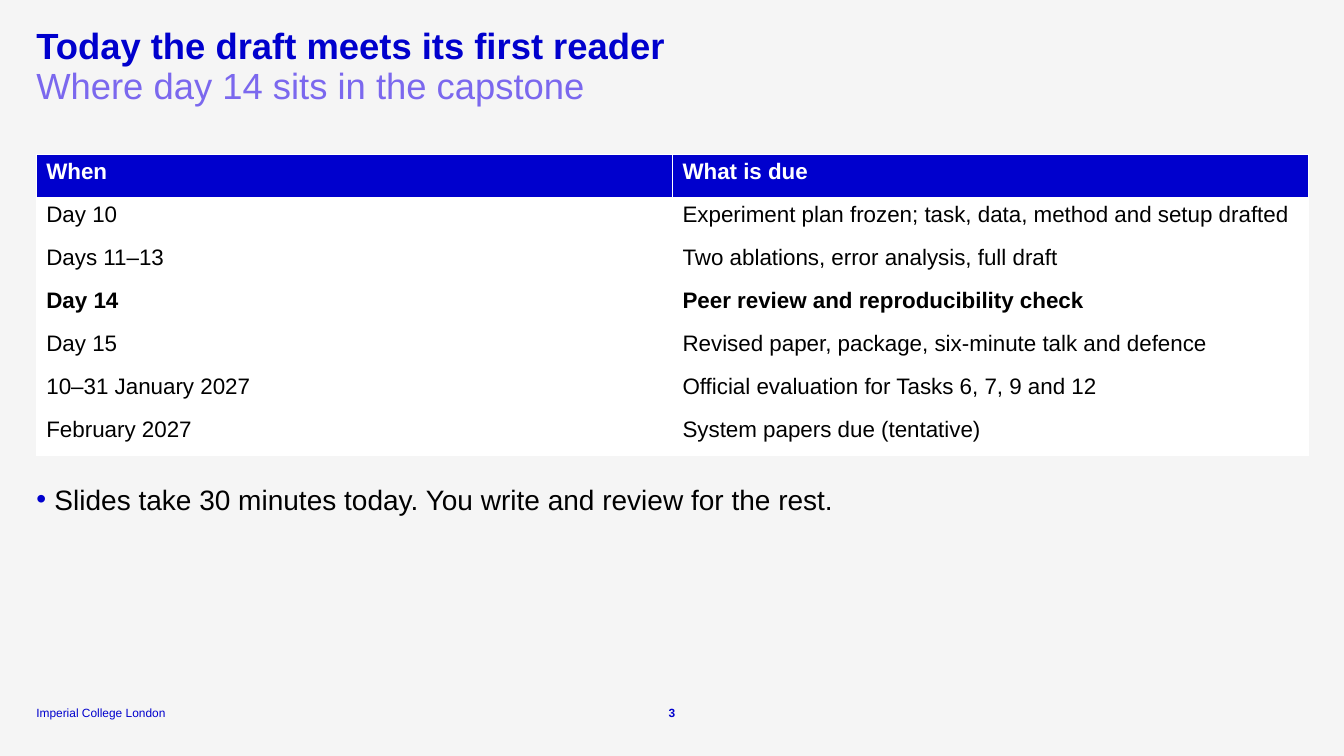
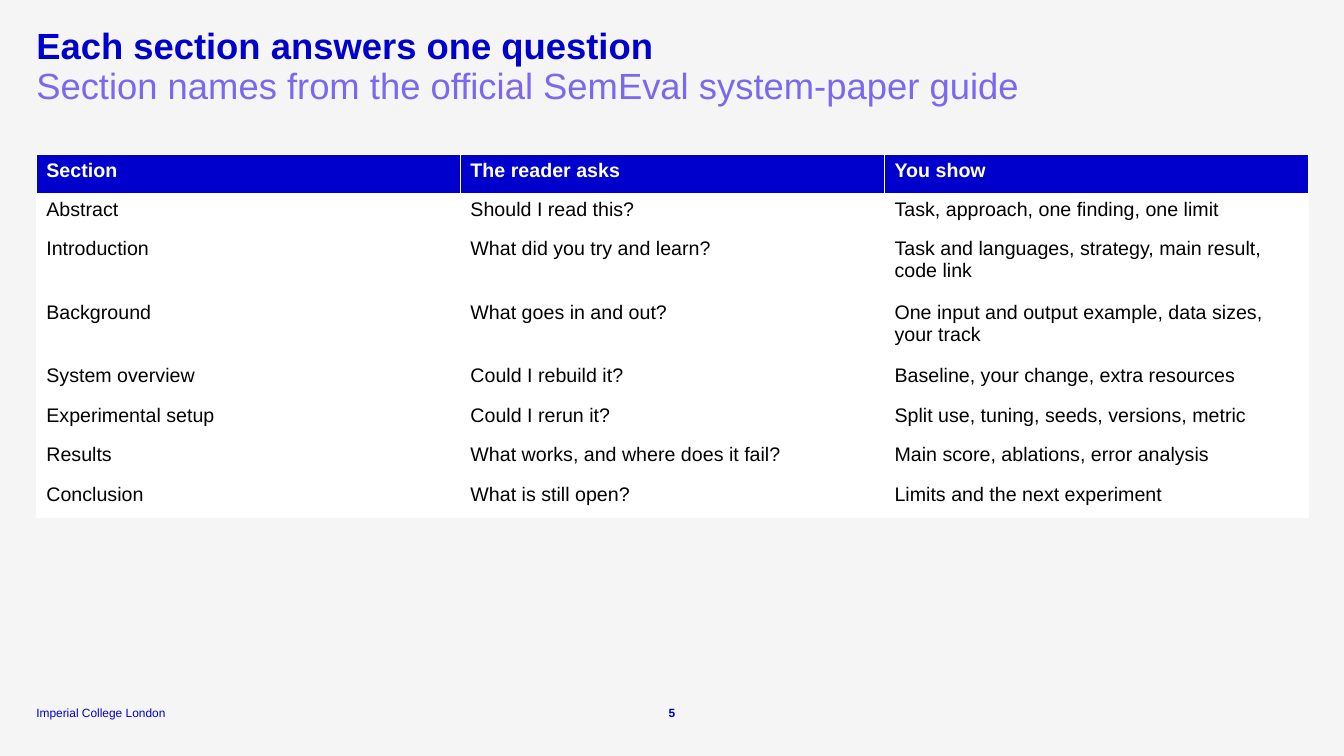
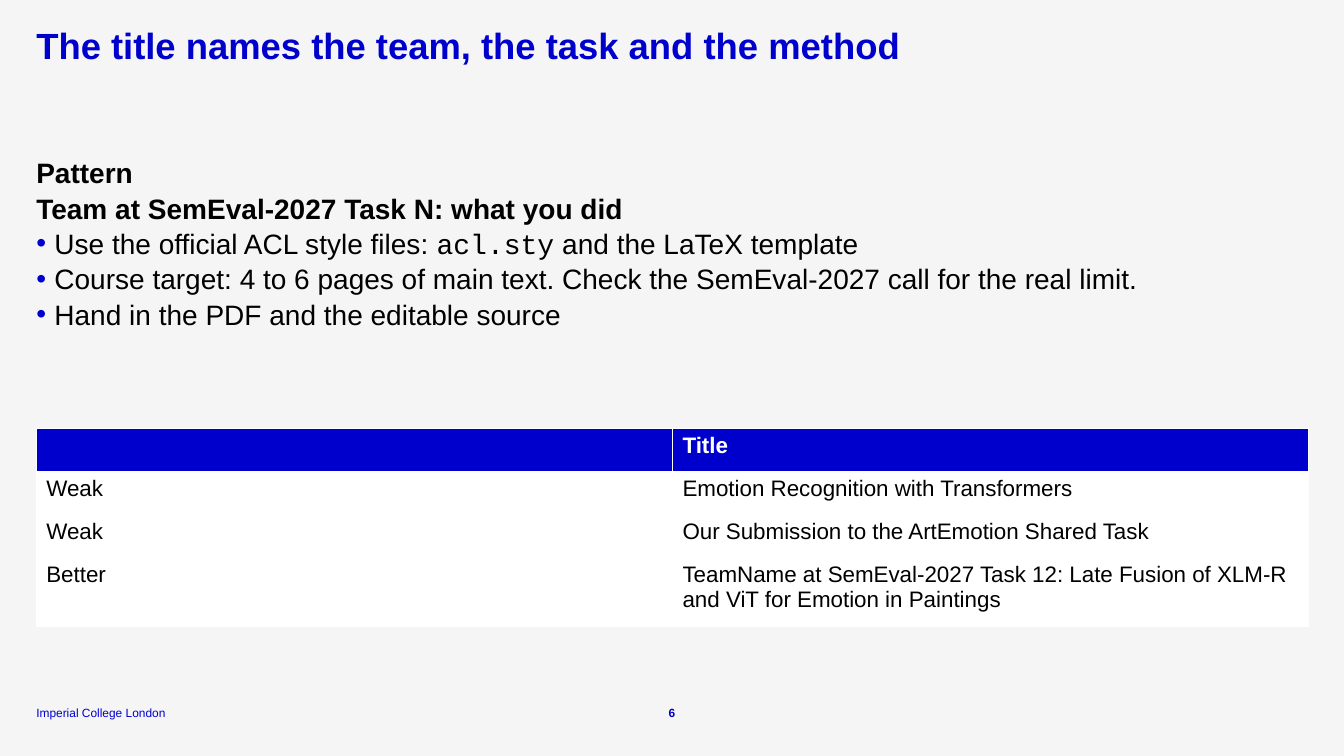
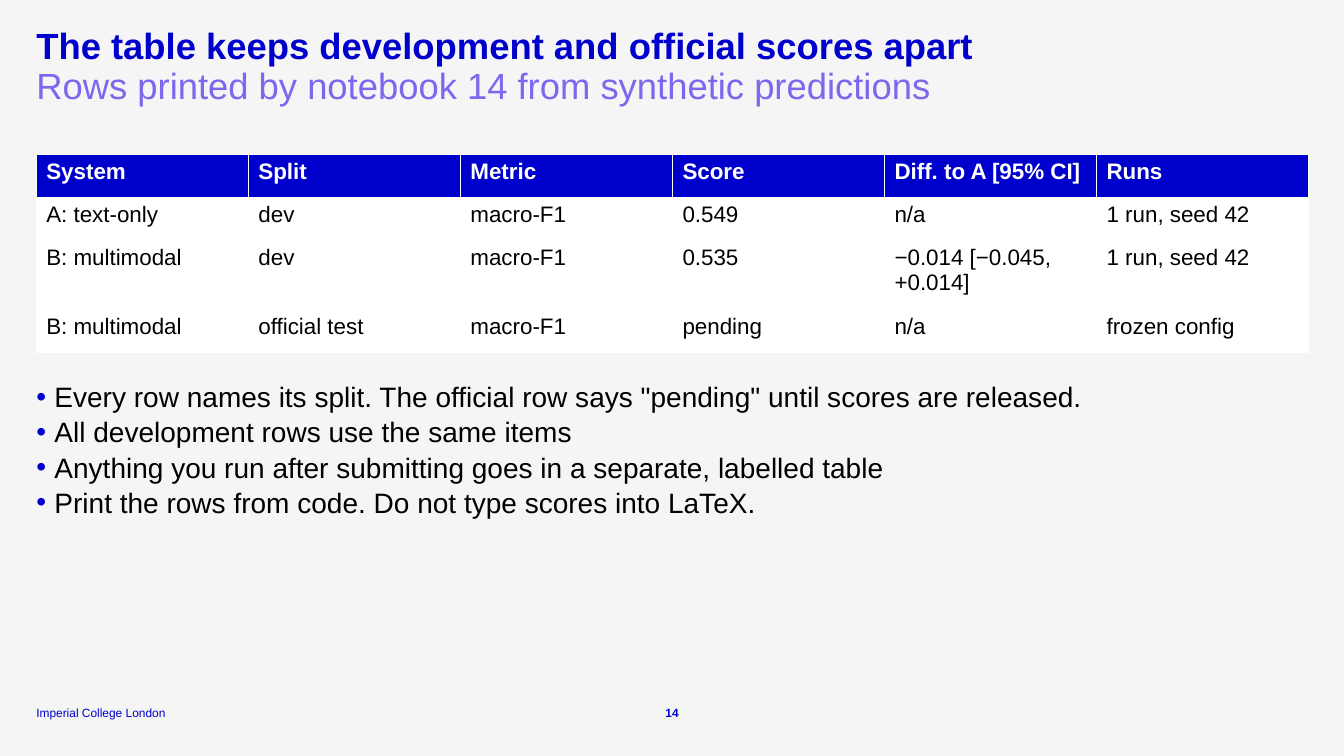
"""Build four slides on writing and reviewing a system paper."""
import lxml.etree
import pptx
import pptx.dml.color
import pptx.enum.text
import pptx.oxml.ns
import pptx.util

PX = 9144
COLORS = {"paper": "F5F5F5", "blue": "0000CD", "violet": "7B68EE", "white": "FFFFFF", "black": "000000"}
FONT, CODE_FONT = "Arial", "Courier New"
LEFT, WIDTH, CONTENT_TOP = 36, 1262, 153
INDENT = 18
ALIGN = pptx.enum.text.PP_ALIGN
ANCHOR = pptx.enum.text.MSO_ANCHOR


def px(length):
    return pptx.util.Emu(round(length * PX))


def color(name):
    return pptx.dml.color.RGBColor.from_string(COLORS[name])


def style(paragraph, size, color_name, bold=False):
    font = paragraph.font
    font.name, font.size, font.bold = FONT, pptx.util.Pt(size), bold
    font.color.rgb = color(color_name)


def add_frame(slide, left, top, width, height, anchor=ANCHOR.TOP):
    frame = slide.shapes.add_textbox(px(left), px(top), px(width), px(height)).text_frame
    frame.word_wrap = True
    frame.vertical_anchor = anchor
    frame.margin_left = frame.margin_top = frame.margin_right = frame.margin_bottom = 0
    return frame


def add_heading(slide, top, text, color_name, bold=False):
    paragraph = add_frame(slide, LEFT, top, WIDTH, 41).paragraphs[0]
    paragraph.text = text
    paragraph.line_spacing = 0.9
    style(paragraph, 26, color_name, bold)


def add_footer_text(slide, left, width, text, alignment, bold=False):
    paragraph = add_frame(slide, left, 699, width, 15, ANCHOR.BOTTOM).paragraphs[0]
    paragraph.text = text
    paragraph.alignment = alignment
    style(paragraph, 8.5, "blue", bold)


def add_slide(presentation, number, title, subtitle=None):
    slide = presentation.slides.add_slide(presentation.slide_layouts[6])
    add_heading(slide, 28, title, "blue", bold=True)
    if subtitle:
        add_heading(slide, 68, subtitle, "violet")
    add_footer_text(slide, LEFT, 155, "Imperial College London", ALIGN.LEFT)
    add_footer_text(slide, 649, 35, str(number), ALIGN.CENTER, bold=True)
    return slide


def add_bullet(paragraph):
    properties = paragraph._p.get_or_add_pPr()
    properties.set("marL", str(px(INDENT)))
    properties.set("indent", str(px(-INDENT)))
    qn = pptx.oxml.ns.qn
    bullet_color = lxml.etree.SubElement(properties, qn("a:buClr"))
    lxml.etree.SubElement(bullet_color, qn("a:srgbClr"), val=COLORS["blue"])
    lxml.etree.SubElement(properties, qn("a:buFont"), typeface=FONT)
    lxml.etree.SubElement(properties, qn("a:buChar"), char="•")


def add_body(slide, top, height, bullets, leads=()):
    """Write bold lead lines, then bullets; odd parts between backticks are code."""
    frame = add_frame(slide, LEFT, top, WIDTH, height)
    for index, text in enumerate([*leads, *bullets]):
        paragraph = frame.add_paragraph() if index else frame.paragraphs[0]
        is_lead = index < len(leads)
        if not is_lead:
            add_bullet(paragraph)
        paragraph.line_spacing = 1.05
        style(paragraph, 20, "black", bold=is_lead)
        for part_index, part in enumerate(text.split("`")):
            run = paragraph.add_run()
            run.text = part
            if part_index % 2:
                run.font.name = CODE_FONT


def add_grid(slide, top, height, rows, size=16, tall_rows=(), tall_height=69, bold_row=None):
    column_count = len(rows[0])
    table = slide.shapes.add_table(
        len(rows), column_count, px(LEFT), px(top), px(WIDTH), px(height)
    ).table
    table.horz_banding = False
    for column in table.columns:
        column.width = px(WIDTH / column_count)
    plain_height = (height - tall_height * len(tall_rows)) / (len(rows) - len(tall_rows))
    for row_index, texts in enumerate(rows):
        is_header = row_index == 0
        table.rows[row_index].height = px(tall_height if row_index in tall_rows else plain_height)
        for column_index, text in enumerate(texts):
            cell = table.cell(row_index, column_index)
            cell.fill.solid()
            cell.fill.fore_color.rgb = color("blue" if is_header else "white")
            paragraph = cell.text_frame.paragraphs[0]
            paragraph.text = text
            style(paragraph, size, "white" if is_header else "black", is_header or row_index == bold_row)


def add_schedule(presentation):
    slide = add_slide(presentation, 3, "Today the draft meets its first reader", "Where day 14 sits in the capstone")
    add_body(slide, 477, 49, ["Slides take 30 minutes today. You write and review for the rest."])
    add_grid(slide, CONTENT_TOP, 299, [
        ("When", "What is due"),
        ("Day 10", "Experiment plan frozen; task, data, method and setup drafted"),
        ("Days 11–13", "Two ablations, error analysis, full draft"),
        ("Day 14", "Peer review and reproducibility check"),
        ("Day 15", "Revised paper, package, six-minute talk and defence"),
        ("10–31 January 2027", "Official evaluation for Tasks 6, 7, 9 and 12"),
        ("February 2027", "System papers due (tentative)"),
    ], bold_row=3)


def add_sections(presentation):
    slide = add_slide(
        presentation, 5, "Each section answers one question",
        "Section names from the official SemEval system-paper guide",
    )
    add_grid(slide, CONTENT_TOP, 361, [
        ("Section", "The reader asks", "You show"),
        ("Abstract", "Should I read this?", "Task, approach, one finding, one limit"),
        ("Introduction", "What did you try and learn?", "Task and languages, strategy, main result, code link"),
        ("Background", "What goes in and out?", "One input and output example, data sizes, your track"),
        ("System overview", "Could I rebuild it?", "Baseline, your change, extra resources"),
        ("Experimental setup", "Could I rerun it?", "Split use, tuning, seeds, versions, metric"),
        ("Results", "What works, and where does it fail?", "Main score, ablations, error analysis"),
        ("Conclusion", "What is still open?", "Limits and the next experiment"),
    ], size=14, tall_rows=(2, 3), tall_height=63)


def add_title_pattern(presentation):
    slide = add_slide(presentation, 6, "The title names the team, the task and the method")
    add_body(slide, CONTENT_TOP, 248, [
        "Use the official ACL style files: `acl.sty` and the LaTeX template",
        "Course target: 4 to 6 pages of main text. Check the SemEval-2027 call for the real limit.",
        "Hand in the PDF and the editable source",
    ], leads=("Pattern", "Team at SemEval-2027 Task N: what you did"))
    add_grid(slide, 425, 197, [
        ("", "Title"),
        ("Weak", "Emotion Recognition with Transformers"),
        ("Weak", "Our Submission to the ArtEmotion Shared Task"),
        ("Better", "TeamName at SemEval-2027 Task 12: Late Fusion of XLM-R and ViT for Emotion in Paintings"),
    ], tall_rows=(3,))


def add_scores(presentation):
    slide = add_slide(
        presentation, 14, "The table keeps development and official scores apart",
        "Rows printed by notebook 14 from synthetic predictions",
    )
    add_body(slide, 375, 198, [
        'Every row names its split. The official row says "pending" until scores are released.',
        "All development rows use the same items",
        "Anything you run after submitting goes in a separate, labelled table",
        "Print the rows from code. Do not type scores into LaTeX.",
    ])
    add_grid(slide, CONTENT_TOP, 197, [
        ("System", "Split", "Metric", "Score", "Diff. to A [95% CI]", "Runs"),
        ("A: text-only", "dev", "macro-F1", "0.549", "n/a", "1 run, seed 42"),
        ("B: multimodal", "dev", "macro-F1", "0.535", "−0.014 [−0.045, +0.014]", "1 run, seed 42"),
        ("B: multimodal", "official test", "macro-F1", "pending", "n/a", "frozen config"),
    ], tall_rows=(2,))


def main():
    presentation = pptx.Presentation()
    presentation.slide_width, presentation.slide_height = px(1333), px(750)
    background = presentation.slide_master.background.fill
    background.solid()
    background.fore_color.rgb = color("paper")
    for add_content in (add_schedule, add_sections, add_title_pattern, add_scores):
        add_content(presentation)
    presentation.save("out.pptx")


if __name__ == "__main__":
    main()
